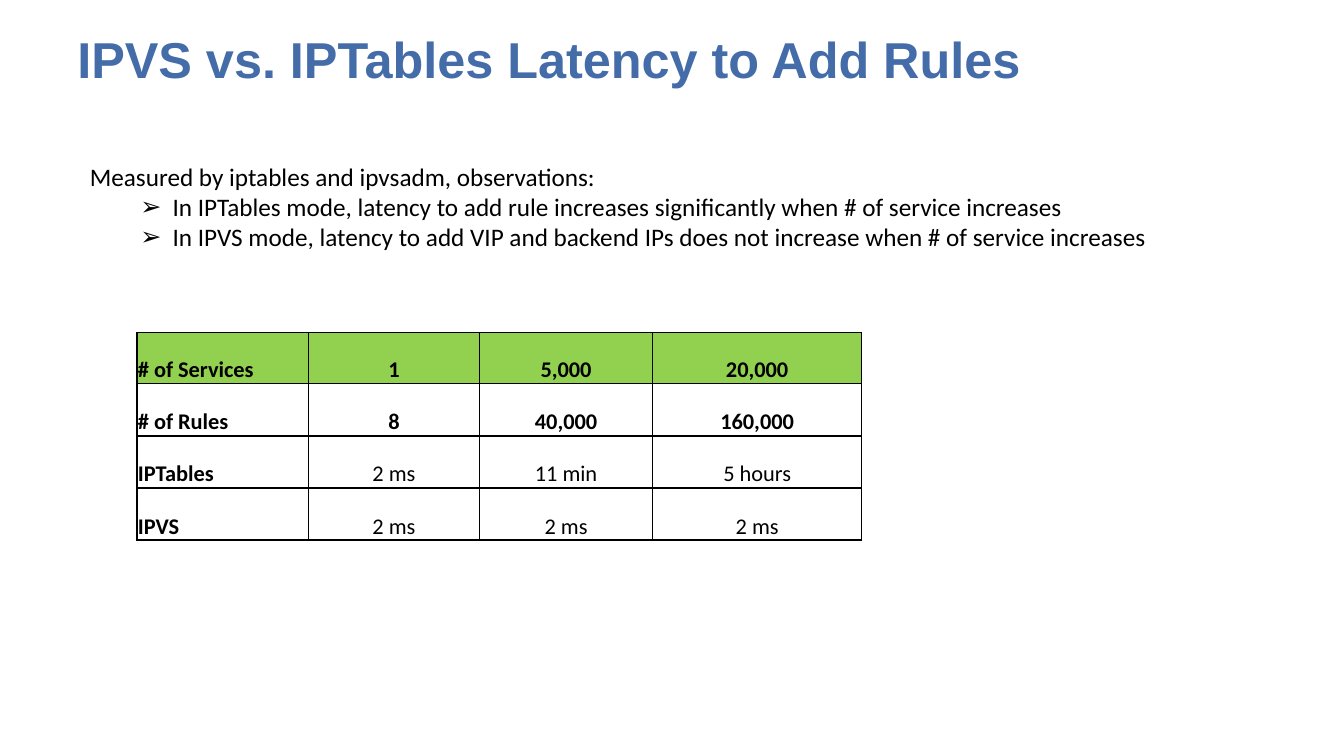
import dataclasses

import lxml.etree
import pptx
import pptx.dml.color
import pptx.enum.text
import pptx.oxml.ns
import pptx.util

ANCHOR = pptx.enum.text.MSO_ANCHOR
ALIGN = pptx.enum.text.PP_ALIGN
qn = pptx.oxml.ns.qn


@dataclasses.dataclass(frozen=True)
class Theme:
    title_color: str = "446CA9"
    text_color: str = "000000"
    border_color: str = "000000"
    header_fill: str = "92D050"
    title_font: str = "Arial"
    body_font: str = "Calibri"
    title_size: int = 36
    body_size: int = 18
    table_size: int = 16


class SlideBuilder:
    """Places elements on a grid of 160 columns by 90 rows."""

    def __init__(self, prs, theme):
        self.theme = theme
        self.col = prs.slide_width / 160
        self.row = prs.slide_height / 90
        self.s = prs.slides.add_slide(prs.slide_layouts[1])

    def box(self, left, top, width, height):
        return (round(left * self.col), round(top * self.row),
                round(width * self.col), round(height * self.row))

    def place(self, sp, *grid):
        sp.left, sp.top, sp.width, sp.height = self.box(*grid)
        tf = sp.text_frame
        tf.word_wrap = True
        tf.auto_size = pptx.enum.text.MSO_AUTO_SIZE.NONE
        tf.vertical_anchor = ANCHOR.TOP
        return tf

    def style(self, p, font, size, color, bold=False, align=ALIGN.LEFT):
        p.alignment = align
        for r in p.runs:
            r.font.name = font
            r.font.size = pptx.util.Pt(size)
            r.font.bold = bold
            r.font.color.rgb = pptx.dml.color.RGBColor.from_string(color)

    def bullet(self, p, char=None):
        pPr = p._p.get_or_add_pPr()
        margin, hang = (0.82, -0.32) if char else (0, 0)
        pPr.set("marL", str(pptx.util.Inches(margin)))
        pPr.set("indent", str(pptx.util.Inches(hang)))
        if char:
            color = lxml.etree.SubElement(pPr, qn("a:buClr"))
            lxml.etree.SubElement(color, qn("a:srgbClr"), val=self.theme.text_color)
            lxml.etree.SubElement(pPr, qn("a:buFont"), typeface="Arial")
            lxml.etree.SubElement(pPr, qn("a:buChar"), char=char)
        else:
            lxml.etree.SubElement(pPr, qn("a:buNone"))

    def title(self, text, *grid):
        t = self.theme
        tf = self.place(self.s.shapes.title, *grid)
        tf.text = text
        p = tf.paragraphs[0]
        p.line_spacing = 0.9
        self.style(p, t.title_font, t.title_size, t.title_color, bold=True)

    def body(self, intro, points, *grid):
        t = self.theme
        tf = self.place(self.s.placeholders[1], *grid)
        tf.text = "\n".join([intro, *points])
        for i, p in enumerate(tf.paragraphs):
            p.level = min(i, 1)
            self.bullet(p, "➢" if i else None)
            p.space_before = pptx.util.Pt(0)
            self.style(p, t.body_font, t.body_size, t.text_color)

    def borders(self, cell):
        tcPr = cell._tc.get_or_add_tcPr()
        for i, side in enumerate(("lnL", "lnR", "lnT", "lnB")):
            ln = lxml.etree.Element(qn("a:" + side), w=str(pptx.util.Pt(1)))
            fill = lxml.etree.SubElement(ln, qn("a:solidFill"))
            lxml.etree.SubElement(fill, qn("a:srgbClr"), val=self.theme.border_color)
            tcPr.insert(i, ln)

    def table(self, data, left, top, widths, heights):
        t = self.theme
        grid = self.box(left, top, sum(widths), sum(heights))
        tbl = self.s.shapes.add_table(len(data), len(widths), *grid).table
        tbl.first_row = tbl.horz_banding = False
        for column, width in zip(tbl.columns, widths):
            column.width = round(width * self.col)
        for row, height in zip(tbl.rows, heights):
            row.height = round(height * self.row)
        for i, values in enumerate(data):
            for j, value in enumerate(values):
                cell = tbl.cell(i, j)
                cell.text = value
                cell.vertical_anchor = ANCHOR.BOTTOM
                cell.margin_left = cell.margin_right = cell.margin_top = pptx.util.Inches(0.01)
                cell.margin_bottom = 0
                if i == 0:
                    cell.fill.solid()
                    cell.fill.fore_color.rgb = pptx.dml.color.RGBColor.from_string(t.header_fill)
                else:
                    cell.fill.background()
                self.borders(cell)
                self.style(cell.text_frame.paragraphs[0], t.body_font, t.table_size,
                           t.text_color, bold=i < 2 or j == 0,
                           align=ALIGN.CENTER if j else ALIGN.LEFT)


def main():
    prs = pptx.Presentation()
    prs.slide_width = pptx.util.Inches(13.33)
    prs.slide_height = pptx.util.Inches(7.5)
    slide = SlideBuilder(prs, Theme())

    # Title
    slide.title("IPVS vs. IPTables Latency to Add Rules", 8, 3.6, 144, 15)

    # Latency table
    slide.table([
        ["# of Services", "1", "5,000", "20,000"],
        ["# of Rules", "8", "40,000", "160,000"],
        ["IPTables", "2 ms", "11 min", "5 hours"],
        ["IPVS", "2 ms", "2 ms", "2 ms"],
    ], 16.3, 39.6, [20.4, 20.4, 20.6, 24.9], [6.1, 6.2, 6.2, 6.2])

    # Observations
    slide.body("Measured by iptables and ipvsadm, observations:", [
        "In IPTables mode, latency to add rule increases significantly when # of service increases",
        "In IPVS mode, latency to add VIP and backend IPs does not increase when # of service increases",
    ], 9.5, 18.6, 129.6, 12.1)

    prs.save("out.pptx")


if __name__ == "__main__":
    main()
